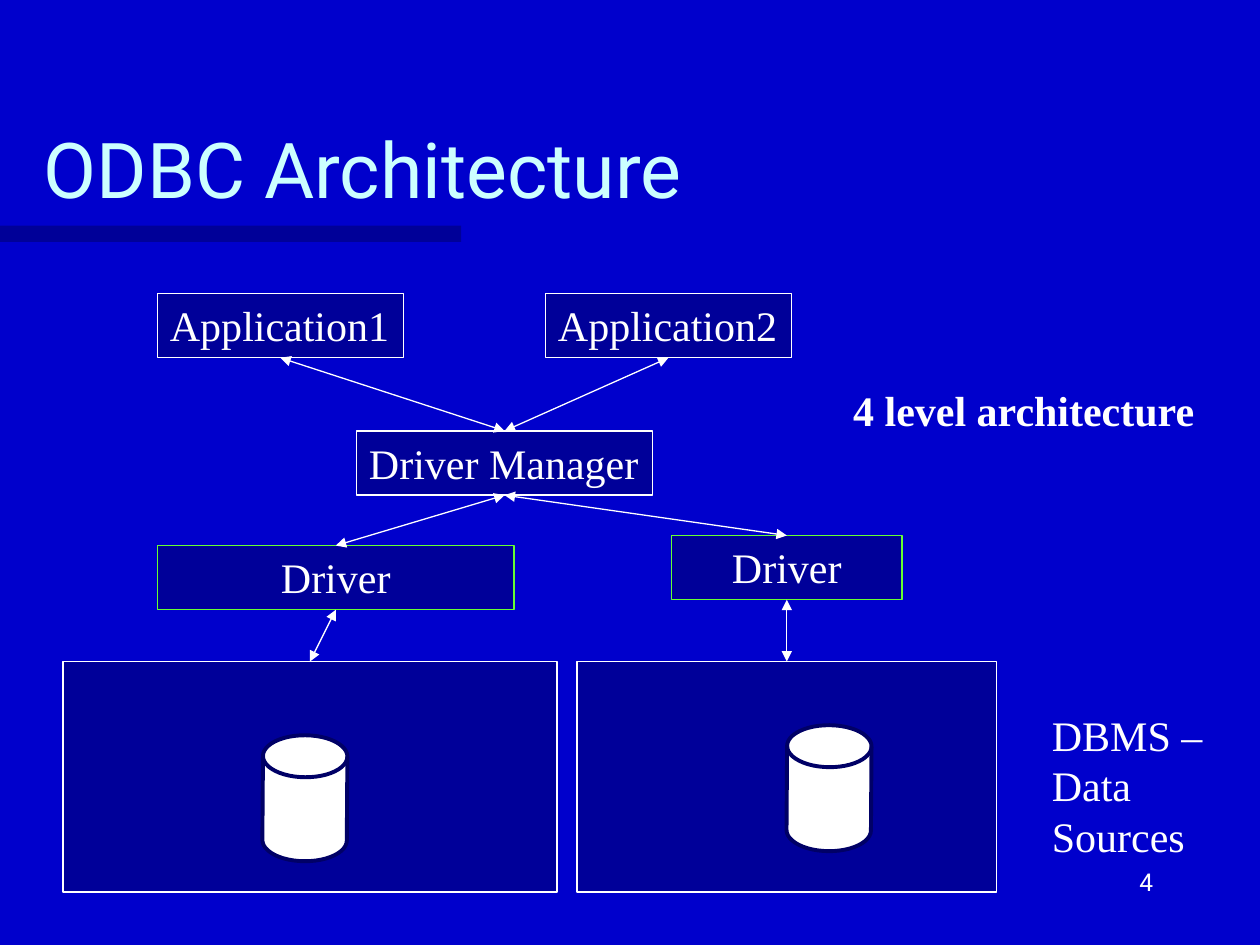
from dataclasses import dataclass
from typing import Any, Optional

from lxml import etree
from pptx import Presentation
from pptx import util as u
from pptx.dml.color import RGBColor
from pptx.enum import shapes, text
from pptx.oxml import ns

BACKGROUND = RGBColor(0x00, 0x00, 0xCC)
NAVY = RGBColor(0x00, 0x00, 0x66)
PANEL = RGBColor(0x00, 0x00, 0x99)
WHITE = RGBColor(0xFF, 0xFF, 0xFF)
GREEN = RGBColor(0x66, 0xFF, 0x33)
PALE_CYAN = RGBColor(0xCC, 0xFF, 0xFF)

SERIF = "Times New Roman"
SANS = "Roboto"
BODY = {"name": SERIF, "size": u.Pt(24)}
LEFT, CENTER, RIGHT = text.PP_ALIGN.LEFT, text.PP_ALIGN.CENTER, text.PP_ALIGN.RIGHT
TOP, BOTTOM = 0, 2  # connection sites of a rectangle
BOX_HEIGHT = 0.51
DRUM_SIZE = (1, 0.67)


@dataclass
class Box:
    name: str
    left: float
    top: float
    width: float
    height: float = BOX_HEIGHT
    label: str = ""
    line: RGBColor = WHITE
    align: Any = LEFT
    wrap: bool = False


@dataclass
class Label:
    lines: tuple[str, ...]
    left: float
    top: float
    width: float
    height: float
    font: dict[str, Any]
    color: RGBColor = WHITE
    align: Any = LEFT
    anchor: Any = text.MSO_ANCHOR.TOP
    wrap: bool = False


BOXES = [
    Box("application1", 1.25, 2.33, 1.95, label="Application1"),
    Box("application2", 4.33, 2.33, 1.95, label="Application2"),
    Box("manager", 2.83, 3.42, 2.35, label="Driver Manager"),
    Box("driver1", 1.25, 4.33, 2.83, label="Driver", line=GREEN, align=CENTER, wrap=True),
    Box("driver2", 5.33, 4.25, 1.83, label="Driver", line=GREEN, align=CENTER, wrap=True),
    Box("source1", 0.5, 5.25, 3.92, 1.83),
    Box("source2", 4.58, 5.25, 3.33, 1.83),
]
# Each link runs from the top of the lower box to the bottom of the upper box
LINKS = [
    ("manager", "application1"),
    ("manager", "application2"),
    ("driver1", "manager"),
    ("driver2", "manager"),
    ("source1", "driver1"),
    ("source2", "driver2"),
]
DRUMS = [(1.92, 6), (6.08, 5.92)]
LABELS = [
    Label(("ODBC Architecture",), 0.25, 0.5, 8.5, 1.25, {"name": SANS, "size": u.Pt(44)},
          PALE_CYAN, anchor=text.MSO_ANCHOR.BOTTOM, wrap=True),
    Label(("4 level architecture",), 6.67, 3, 2.91, 0.5, {**BODY, "bold": True}, align=CENTER),
    Label(("DBMS –", "Data", "Sources"), 8.25, 5.58, 1.49, 1.31, BODY),
    Label(("4",), 7.17, 6.83, 2.08, 0.5, {"name": SANS, "size": u.Pt(14)},
          align=RIGHT, wrap=True),
]


def write_text(shape: Any, lines: tuple[str, ...], font: dict[str, Any], color: RGBColor,
               align: Any, anchor: Any, wrap: bool) -> None:
    frame = shape.text_frame
    frame.word_wrap = wrap
    frame.vertical_anchor = anchor
    frame.text = "\n".join(lines)
    for paragraph in frame.paragraphs:
        paragraph.alignment = align
        for attribute, value in font.items():
            setattr(paragraph.font, attribute, value)
        paragraph.font.color.rgb = color


def add_filled(slide: Any, kind: Any, left: float, top: float, width: float, height: float,
               fill: RGBColor, line: Optional[RGBColor] = None, weight: float = 0.75) -> Any:
    shape = slide.shapes.add_shape(kind, *map(u.Inches, (left, top, width, height)))
    shape.shadow.inherit = False
    shape.fill.solid()
    shape.fill.fore_color.rgb = fill
    if line is None:
        shape.line.fill.background()
    else:
        shape.line.color.rgb = line
        shape.line.width = u.Pt(weight)
    return shape


def add_box(slide: Any, box: Box) -> Any:
    shape = add_filled(slide, shapes.MSO_SHAPE.RECTANGLE, box.left, box.top,
                       box.width, box.height, PANEL, box.line)
    if box.label:
        write_text(shape, (box.label,), BODY, WHITE, box.align, text.MSO_ANCHOR.TOP, box.wrap)
    return shape


def add_link(slide: Any, lower: Any, upper: Any) -> None:
    connector = slide.shapes.add_connector(shapes.MSO_CONNECTOR.STRAIGHT, 0, 0, 0, 0)
    connector.begin_connect(lower, TOP)
    connector.end_connect(upper, BOTTOM)
    connector.line.color.rgb = WHITE
    connector.line.width = u.Pt(0.75)
    for end in ("a:headEnd", "a:tailEnd"):
        etree.SubElement(connector.line._get_or_add_ln(), ns.qn(end), type="triangle")
    etree.SubElement(connector._element.spPr, ns.qn("a:effectLst"))


def add_label(slide: Any, label: Label) -> None:
    shape = slide.shapes.add_textbox(
        *map(u.Inches, (label.left, label.top, label.width, label.height)))
    write_text(shape, label.lines, label.font, label.color, label.align, label.anchor, label.wrap)


def main() -> None:
    presentation = Presentation()
    presentation.slide_width, presentation.slide_height = u.Inches(10), u.Inches(7.5)
    slide = presentation.slides.add_slide(presentation.slide_layouts[6])
    slide.background.fill.solid()
    slide.background.fill.fore_color.rgb = BACKGROUND

    # Half-transparent bar under the title
    bar = add_filled(slide, shapes.MSO_SHAPE.RECTANGLE, 0, 1.79, 3.66, 0.13, NAVY)
    color = bar._element.spPr.find(".//" + ns.qn("a:srgbClr"))
    etree.SubElement(color, ns.qn("a:alpha"), val="50000")

    # Architecture levels and the links between them
    boxes = {box.name: add_box(slide, box) for box in BOXES}
    for lower, upper in LINKS:
        add_link(slide, boxes[lower], boxes[upper])

    # Databases, turned upright
    for left, top in DRUMS:
        drum = add_filled(slide, shapes.MSO_SHAPE.FLOWCHART_DIRECT_ACCESS_STORAGE,
                          left, top, *DRUM_SIZE, WHITE, NAVY, 2.25)
        drum.rotation = 270.4

    # Title, captions and page number
    for label in LABELS:
        add_label(slide, label)

    presentation.save("out.pptx")


if __name__ == "__main__":
    main()
